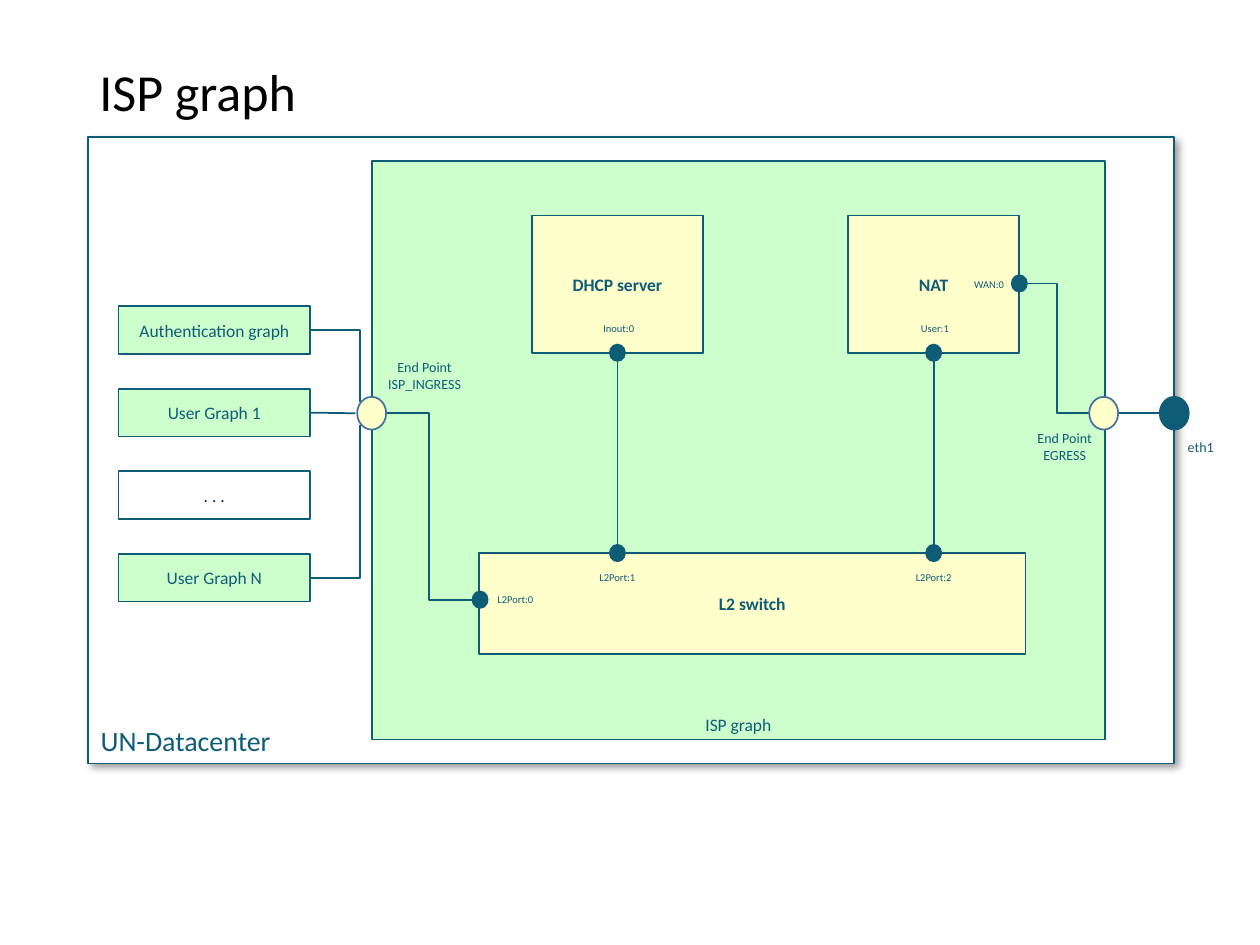
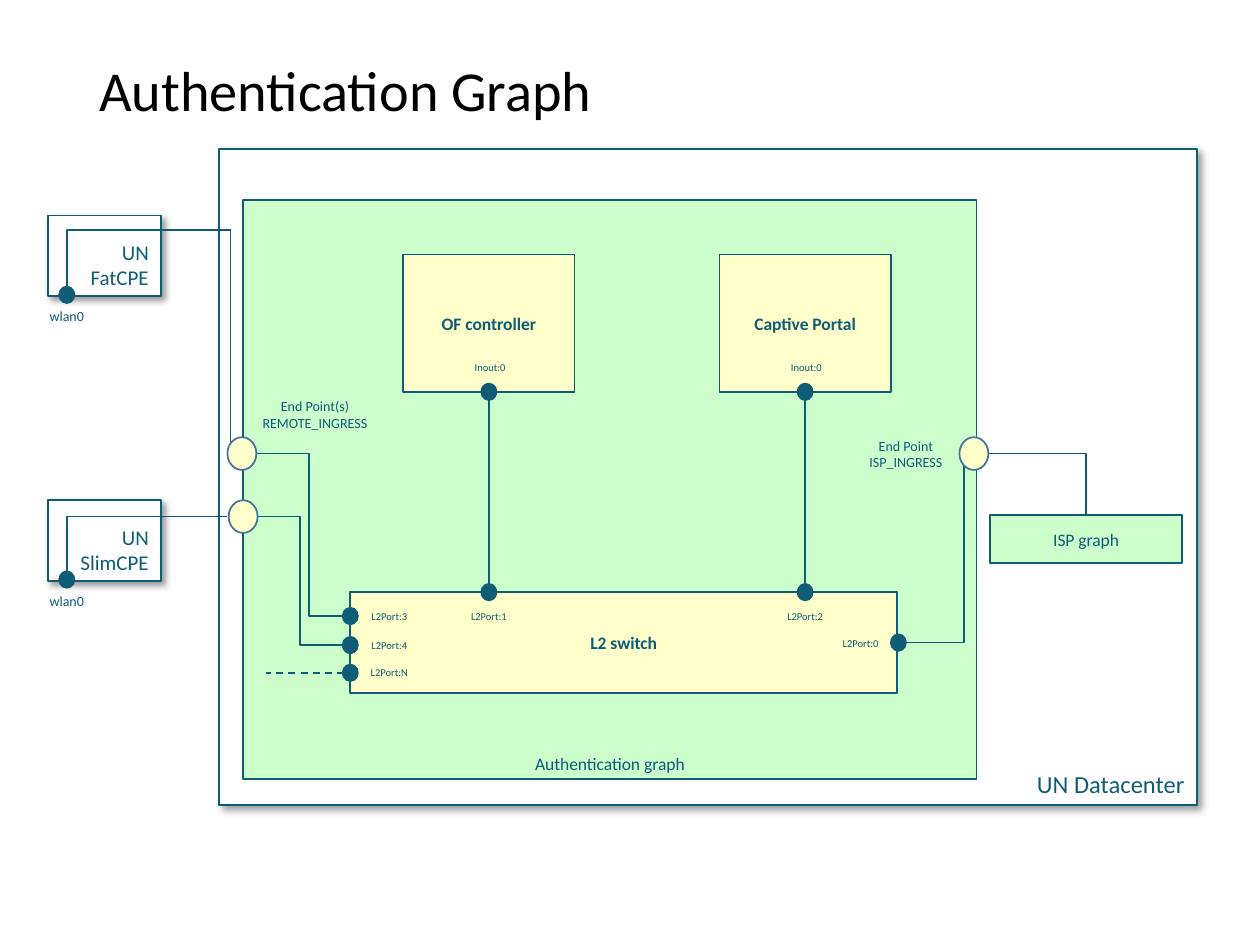
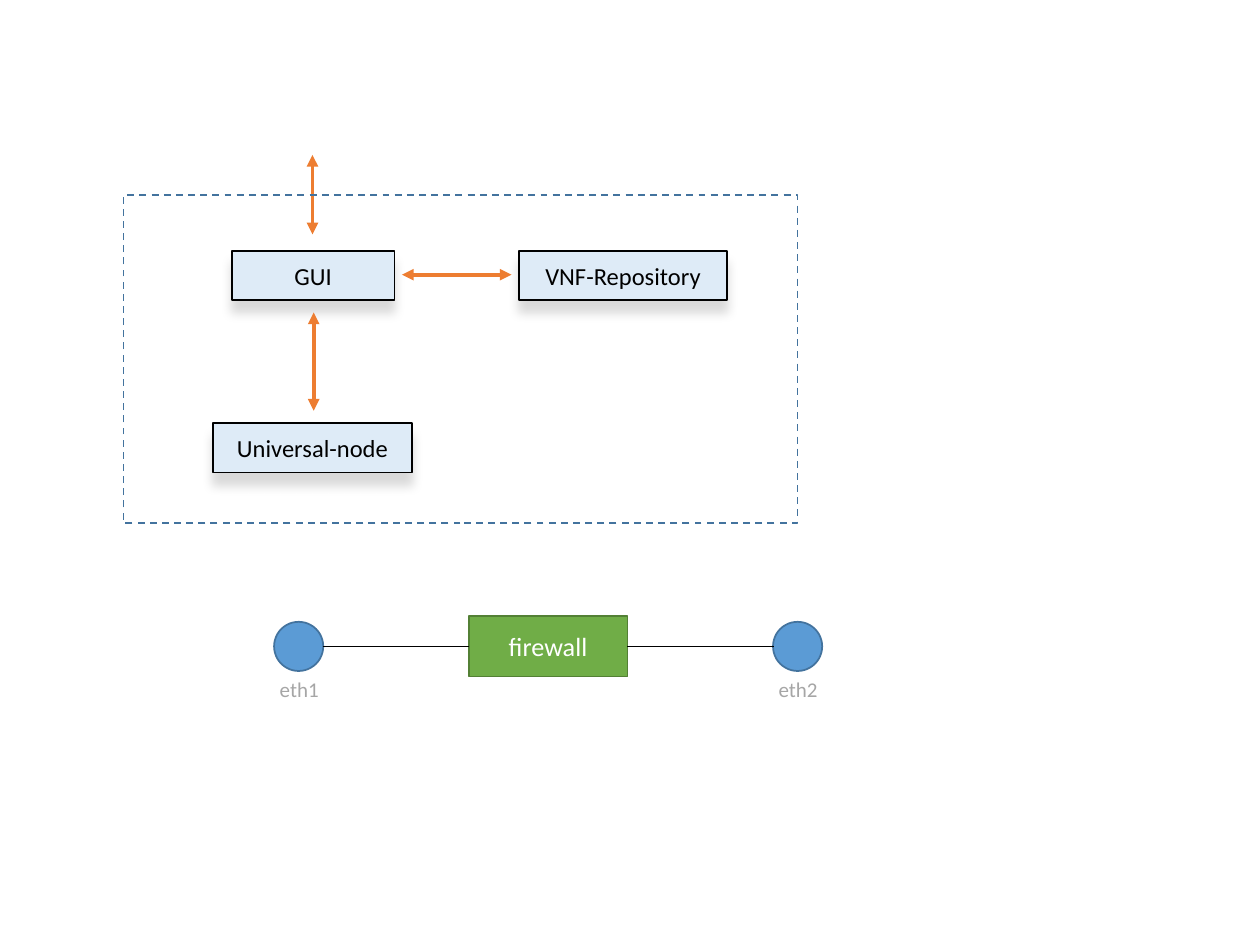
from dataclasses import dataclass

from lxml import etree
from pptx import Presentation
from pptx.dml.color import RGBColor
from pptx.enum.dml import MSO_LINE
from pptx.enum.shapes import MSO_CONNECTOR as CONN, MSO_SHAPE as SHAPE
from pptx.enum.text import MSO_ANCHOR as ANCHOR, PP_ALIGN as ALIGN
from pptx.oxml.ns import qn
from pptx.util import Inches, Pt


@dataclass(frozen=True)
class Theme:
    font: str = "Calibri"
    ink: str = "0F5C77"
    graph: str = "CCFFCC"
    block: str = "FFFFCC"
    white: str = "FFFFFF"
    black: str = "000000"
    navy: str = "002060"
    outline: str = "43739E"
    module: str = "DEEBF7"
    arrow: str = "ED7D31"
    node: str = "5B9BD5"
    firewall: str = "70AD47"
    firewall_line: str = "538035"
    caption: str = "A6A6A6"
    port_size: float = 6
    label_size: float = 8
    body_size: float = 10
    cpe_size: float = 12
    module_size: float = 14


T = Theme()
NODE_SHADOW = dict(alpha=40, blur=4, dist=3, angle=45)
MODULE_SHADOW = dict(alpha=15, blur=6, dist=7, angle=90)


# ---- Basic elements ----
def write(sp, text, size=T.body_size, color=T.ink, bold=False, align=ALIGN.CENTER,
          anchor=ANCHOR.MIDDLE, inset=None, wrap=True, spacing=None):
    tf = sp.text_frame
    tf.word_wrap, tf.vertical_anchor = wrap, anchor
    if inset is not None:
        tf.margin_left = tf.margin_right = Inches(inset)
        tf.margin_top = tf.margin_bottom = Inches(inset)
    for i, line in enumerate(text.split("\n")):
        p = tf.add_paragraph() if i else tf.paragraphs[0]
        p.alignment = align
        if spacing:
            p.line_spacing = spacing
        r = p.add_run()
        r.text = line
        r.font.name, r.font.size, r.font.bold = T.font, Pt(size), bold
        r.font.color.rgb = RGBColor.from_string(color)


def textbox(s, x, y, w, h, text, **fmt):
    write(s.shapes.add_textbox(Inches(x), Inches(y), Inches(w), Inches(h)), text, **fmt)


def set_line(line, color, width=1, dashed=False):
    line.color.rgb = RGBColor.from_string(color)
    line.width = Pt(width)
    if dashed:
        line.dash_style = MSO_LINE.DASH


def add_shadow(sp, alpha, blur, dist, angle):
    effects = sp._element.spPr.find(qn("a:effectLst"))
    outer = etree.SubElement(effects, qn("a:outerShdw"), blurRad=str(Pt(blur)),
                             dist=str(Pt(dist)), dir=str(angle * 60000),
                             algn="tl", rotWithShape="0")
    color = etree.SubElement(outer, qn("a:srgbClr"), val=T.black)
    etree.SubElement(color, qn("a:alpha"), val=str(alpha * 1000))


def shape(s, kind, x, y, w, h, fill=None, line=T.ink, dashed=False, shadow=None):
    sp = s.shapes.add_shape(kind, Inches(x), Inches(y), Inches(w), Inches(h))
    sp.shadow.inherit = False
    if fill:
        sp.fill.solid()
        sp.fill.fore_color.rgb = RGBColor.from_string(fill)
    else:
        sp.fill.background()
    set_line(sp.line, line, dashed=dashed)
    if shadow:
        add_shadow(sp, **shadow)
    return sp


def box(s, x, y, w, h, text, fill=None, line=T.ink, shadow=None, inset=0.04, **fmt):
    sp = shape(s, SHAPE.RECTANGLE, x, y, w, h, fill, line, shadow=shadow)
    write(sp, text, inset=inset, **fmt)
    return sp


def circle(s, cx, cy, w, h, fill, line=T.ink):
    return shape(s, SHAPE.OVAL, cx - w / 2, cy - h / 2, w, h, fill, line)


def connect(s, kind, start, end, color=T.ink, width=1, dashed=False, arrows=False):
    c = s.shapes.add_connector(kind, *(Inches(v) for v in (*start, *end)))
    set_line(c.line, color, width, dashed)
    if arrows:
        for tag in ("a:headEnd", "a:tailEnd"):
            etree.SubElement(c.line._get_or_add_ln(), qn(tag), type="triangle")
    etree.SubElement(c._element.spPr, qn("a:effectLst"))
    return c


def line(s, start, end, **fmt):
    return connect(s, CONN.STRAIGHT, start, end, **fmt)


def elbow(s, start, end, bend=0.5, turn=0):
    """Z-shaped link; bend places its middle leg, turn rotates it in degrees."""
    c = connect(s, CONN.ELBOW, start, end)
    geom = c._element.spPr.find(qn("a:prstGeom"))
    guides = geom.find(qn("a:avLst"))
    if guides is None:
        guides = etree.SubElement(geom, qn("a:avLst"))
    etree.SubElement(guides, qn("a:gd"), name="adj1", fmla=f"val {round(bend * 100000)}")
    if turn:
        c._element.spPr.find(qn("a:xfrm")).set("rot", str(turn * 60000))


def corner(s, start, end):
    """L-shaped link that leaves start horizontally."""
    c = connect(s, CONN.ELBOW, start, end)
    c._element.spPr.find(qn("a:prstGeom")).set("prst", "bentConnector2")


# ---- Parts of a service graph ----
def title(s, text, size, spacing):
    textbox(s, 0.69, 0.47, 8.62, 0.57, text, size=size, color=T.black,
            align=ALIGN.LEFT, spacing=spacing)


def label(s, cx, y, text, size=T.label_size, w=1.25):
    textbox(s, cx - w / 2, y, w, 0.24, text, size=size, anchor=ANCHOR.TOP)


def port_label(s, cx, y, text):
    label(s, cx, y, text, size=T.port_size, w=1.01)


def port(s, cx, cy):
    circle(s, cx, cy, 0.12, 0.13, T.ink)


def end_point(s, cx, cy, fill=T.block, line=T.outline):
    circle(s, cx, cy, 0.23, 0.26, fill, line)


def un_node(s, x, y, w, h, text, size, align=ALIGN.RIGHT):
    box(s, x, y, w, h, text, T.white, shadow=NODE_SHADOW, inset=None,
        size=size, align=align, anchor=ANCHOR.BOTTOM)


def graph_box(s, x, y, text, fill=T.graph, color=T.ink):
    return box(s, x, y, 1.52, 0.38, text, fill, color=color)


def service_graph(s, x, y, name, functions):
    """Frame with an L2 switch and two functions, each given as (name, port)."""
    box(s, x, y, 5.82, 4.59, name, T.graph, anchor=ANCHOR.BOTTOM)
    box(s, x + 0.85, y + 3.11, 4.34, 0.8, "L2 switch", T.block, bold=True)
    for i, (function, port_name) in enumerate(functions):
        cx = x + 1.95 + 2.51 * i
        top, bottom = y + 1.52, y + 3.11
        box(s, cx - 0.68, y + 0.43, 1.36, 1.09, function, T.block, bold=True)
        line(s, (cx, bottom), (cx, top))
        port(s, cx, top)
        port(s, cx, bottom)
        port_label(s, cx + 0.01, y + 1.23, port_name)
        port_label(s, cx, y + 3.2, f"L2Port:{i + 1}")


# ---- Slides ----
def isp_slide(s):
    title(s, "ISP graph", 29.7, 0.9)
    un_node(s, 0.7, 1.09, 8.62, 4.97, "UN-Datacenter", 16, ALIGN.LEFT)
    service_graph(s, 2.95, 1.28, "ISP graph",
                  [("DHCP server", "Inout:0"), ("NAT", "User:1")])

    # Attached graphs
    rows = [("Authentication graph", T.graph, T.ink), ("User Graph 1", T.graph, T.ink),
            (". . .", None, T.navy), ("User Graph N", T.graph, T.ink)]
    graphs = [graph_box(s, 0.94, 2.43 + 0.655 * i, *row) for i, row in enumerate(rows)]
    mid = 3.28
    corner(s, (2.46, 2.62), (2.86, 3.19))
    corner(s, (2.46, 4.59), (2.86, 3.37))
    line(s, (2.82, mid), (2.46, mid)).end_connect(graphs[1], 3)

    # Ingress, egress and the physical port
    elbow(s, (3.06, mid), (3.75, 4.76))
    elbow(s, (8.14, 2.25), (8.64, mid))
    line(s, (9.2, mid), (8.88, mid))
    end_point(s, 2.95, mid)
    end_point(s, 8.76, mid)
    end_point(s, 9.32, mid, T.ink, T.ink)
    port(s, 3.81, 4.76)
    port(s, 8.09, 2.25)
    port_label(s, 4.09, 4.66, "L2Port:0")
    port_label(s, 7.85, 2.16, "WAN:0")
    label(s, 3.37, 2.8, "End Point\nISP_INGRESS")
    label(s, 8.45, 3.36, "End Point\nEGRESS")
    label(s, 9.53, 3.43, "eth1")


def authentication_slide(s):
    title(s, "Authentication Graph", 32.2, 0.8)
    un_node(s, 1.74, 1.18, 7.76, 5.21, "UN Datacenter", 14)
    service_graph(s, 1.93, 1.59, "Authentication graph",
                  [("OF controller", "Inout:0"), ("Captive Portal", "Inout:0")])

    # Remote nodes
    for y, name in ((1.71, "UN FatCPE"), (3.97, "UN SlimCPE")):
        un_node(s, 0.38, y, 0.9, 0.64, name, T.cpe_size)
        port(s, 0.53, y + 0.63)
        label(s, 0.53, y + 0.68, "wlan0")
    elbow(s, (1.8, 2.24), (0.56, 3.54), bend=-0.36, turn=270)
    corner(s, (1.8, 4.1), (0.53, 4.54))

    # Remote ingress
    elbow(s, (2.03, 3.6), (2.72, 4.89), bend=0.61)
    elbow(s, (2.04, 4.1), (2.72, 5.12))
    line(s, (2.73, 5.34), (2.11, 5.34), dashed=True)
    for cy, name in ((4.89, "L2Port:3"), (5.12, "L2Port:4"), (5.34, "L2Port:N")):
        port(s, 2.78, cy)
        port_label(s, 3.09, cy - 0.1, name)
    end_point(s, 1.92, 3.6)
    end_point(s, 1.93, 4.1)
    label(s, 2.5, 3.11, "End Point(s)\nREMOTE_INGRESS")

    # Link to the ISP graph
    graph_box(s, 7.86, 4.09, "ISP graph")
    corner(s, (7.85, 3.6), (8.62, 4.09))
    corner(s, (7.19, 5.1), (7.65, 3.69))
    end_point(s, 7.73, 3.6)
    port(s, 7.13, 5.1)
    port_label(s, 6.83, 5.01, "L2Port:0")
    label(s, 7.19, 3.42, "End Point\nISP_INGRESS")


def architecture_slide(s):
    # Modules
    for x, y, w, name in ((1.84, 1.99, 1.29, "GUI"), (4.12, 1.99, 1.65, "VNF-Repository"),
                          (1.69, 3.36, 1.58, "Universal-node")):
        box(s, x, y, w, 0.39, name, T.module, T.black, MODULE_SHADOW, inset=None,
            size=T.module_size, color=T.black, wrap=False)
    for start, end in (((2.48, 1.86), (2.48, 1.23)), ((2.49, 3.26), (2.49, 2.48)),
                       ((4.06, 2.18), (3.19, 2.18))):
        line(s, start, end, color=T.arrow, width=2.25, arrows=True)
    shape(s, SHAPE.RECTANGLE, 0.98, 1.55, 5.35, 2.6, line=T.outline, dashed=True)

    # Firewall between two interfaces
    mid = 5.13
    firewall = box(s, 3.72, 4.89, 1.26, 0.48, "firewall", T.firewall, T.firewall_line,
                   inset=None, size=15, color=T.white)
    for cx, edge, side, name in ((2.37, 2.56, 1, "eth1"), (6.33, 6.14, 3, "eth2")):
        circle(s, cx, mid, 0.39, 0.39, T.node, T.outline)
        line(s, (edge, mid), (4.35, mid), color=T.black).end_connect(firewall, side)
        textbox(s, cx - 0.25, 5.32, 0.51, 0.3, name, size=T.cpe_size,
                color=T.caption, anchor=ANCHOR.TOP, wrap=False)


def main():
    prs = Presentation()
    prs.slide_width, prs.slide_height = Inches(10), Inches(7.5)
    for build in (isp_slide, authentication_slide, architecture_slide):
        build(prs.slides.add_slide(prs.slide_layouts[6]))
    prs.save("out.pptx")


if __name__ == "__main__":
    main()
